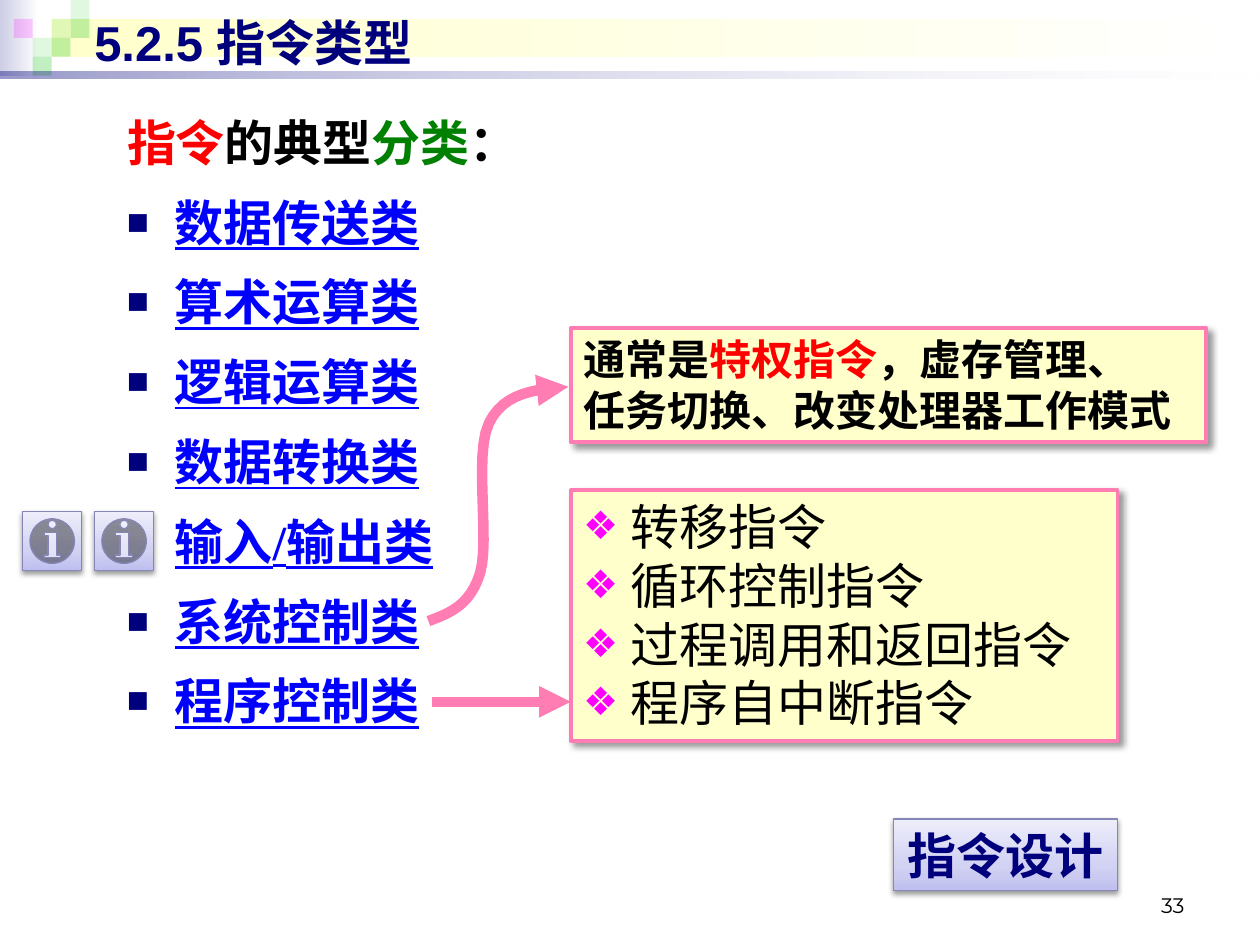
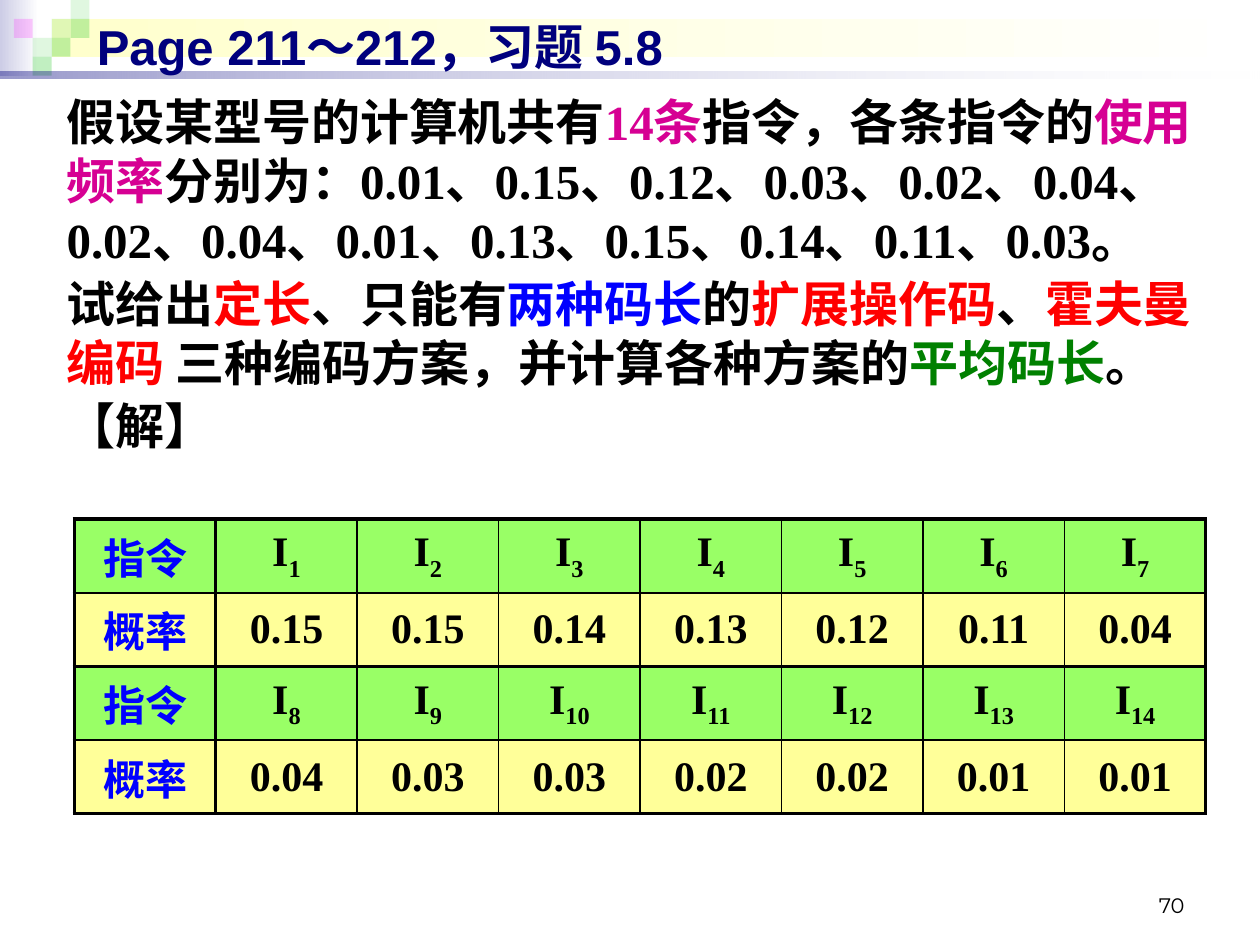
from lxml.etree import SubElement
from pptx import Presentation
from pptx.dml.color import RGBColor
from pptx.enum.shapes import MSO_CONNECTOR, MSO_SHAPE
from pptx.enum.text import MSO_ANCHOR, PP_ALIGN
from pptx.oxml.ns import qn
from pptx.util import Inches, Pt

COLOURS = {
    "black": "000000", "white": "FFFFFF", "navy": "00007D", "blue": "0000FF",
    "red": "FF0000", "green": "008000", "purple": "D60093", "magenta": "FF00FF",
    "pink": "FF7DB2", "cream": "FFFFCC", "lavender": "CDCDE6", "leaf": "33CC33",
    "button low": "BFBFF0", "button middle": "D2D2F3", "button high": "EDEDFB",
    "button edge": "8686B6", "lime": "99FF66", "yellow": "FFFF99",
}
SERIF, SANS, CHINESE, NUMBER = "Times New Roman", "Arial", "Noto Sans CJK SC", "Montserrat"
COLUMNS, ROWS = 100, 75
CELL = Inches(0.1)

BUTTON_STOPS = [(0, "button low", 100), (35, "button middle", 100), (100, "button high", 100)]
BUTTON_SHADOW = (38, 3.1, 1.6, 90)
NOTE_SHADOW = (40, 4, 3, 45)
MOSAIC = [(2, 1, "leaf", 15), (3, 0, "leaf", 15), (3, 1, "leaf", 30), (1, 2, "leaf", 15),
          (0, 1, "magenta", 20), (2, 2, "leaf", 30), (1, 3, "leaf", 30)]


def grid(*lengths):
    """Turn grid cells into slide lengths."""
    return [round(length * CELL) for length in lengths]


def colour(name):
    return RGBColor.from_string(COLOURS[name])


def add_xml(parent, tag, **attributes):
    return SubElement(parent, qn(tag), {key: str(value) for key, value in attributes.items()})


def add_colour_xml(parent, name, alpha=100):
    element = add_xml(parent, "a:srgbClr", val=COLOURS[name])
    if alpha < 100:
        add_xml(element, "a:alpha", val=alpha * 1000)


def add_runs(paragraph, runs, size=28, font=SERIF, bold=True, underline=None):
    """Add (text, colour) runs; a newline in a text becomes a line break."""
    for text, name in runs:
        for index, line in enumerate(text.split("\n")):
            if index:
                paragraph.add_line_break()
            run = paragraph.add_run()
            run.text = line
            run.font.size, run.font.bold, run.font.underline = Pt(size), bold, underline
            run.font.color.rgb = colour(name)
            run.font.name = font
            add_xml(run.font._element, "a:ea", typeface=CHINESE)


def add_bullet(paragraph, character, name, percent):
    properties = paragraph._p.get_or_add_pPr()
    indent = Inches(0.38)
    properties.set("marL", str(indent))
    properties.set("indent", str(-indent))
    add_colour_xml(add_xml(properties, "a:buClr"), name)
    add_xml(properties, "a:buSzPct", val=percent * 1000)
    add_xml(properties, "a:buFont", typeface=SANS)
    add_xml(properties, "a:buChar", char=character)


def fill_paragraphs(frame, paragraphs, space=0, bullet=None, align=None, **style):
    for index, runs in enumerate(paragraphs):
        paragraph = frame.add_paragraph() if index else frame.paragraphs[0]
        if bullet:
            add_bullet(paragraph, *bullet)
        if index and space:
            paragraph.space_before = Pt(space)
        paragraph.alignment = align
        add_runs(paragraph, runs, **style)


def add_text(slide, box, paragraphs, anchor=MSO_ANCHOR.TOP, **style):
    frame = slide.shapes.add_textbox(*grid(*box)).text_frame
    frame.word_wrap = True
    frame.vertical_anchor = anchor
    fill_paragraphs(frame, paragraphs, **style)


def add_block(slide, box, preset=MSO_SHAPE.RECTANGLE, fill=None, alpha=100, stops=None,
              angle=0, edge=None, shadow=None):
    """Add a preset shape with a plain or gradient fill, an edge and a shadow."""
    shape = slide.shapes.add_shape(preset, *grid(*box))
    properties = shape._element.spPr
    if stops:
        shape.fill.gradient()
        shape.fill.gradient_angle = angle
        stop_list = properties.find(qn("a:gradFill")).find(qn("a:gsLst"))
        stop_list.clear()
        for position, name, opacity in stops:
            add_colour_xml(add_xml(stop_list, "a:gs", pos=position * 1000), name, opacity)
    else:
        shape.fill.solid()
        shape.fill.fore_color.rgb = colour(fill)
        if alpha < 100:
            add_xml(properties.find(qn("a:solidFill"))[0], "a:alpha", val=alpha * 1000)
    if edge:
        name, width = edge
        shape.line.color.rgb = colour(name)
        shape.line.width = Pt(width)
    else:
        shape.line.fill.background()
    shape.shadow.inherit = False
    if shadow:
        opacity, blur, distance, direction = shadow
        outer = add_xml(properties.find(qn("a:effectLst")), "a:outerShdw", blurRad=Pt(blur),
                        dist=Pt(distance), dir=direction * 60000, algn="tl", rotWithShape=0)
        add_colour_xml(outer, "black", opacity)
    return shape


def add_button(slide, box, preset):
    return add_block(slide, box, preset, stops=BUTTON_STOPS, angle=90,
                     edge=("button edge", 0.75), shadow=BUTTON_SHADOW)


def add_note(slide, box, paragraphs, **style):
    shape = add_block(slide, box, fill="cream", edge=("pink", 2.25), shadow=NOTE_SHADOW)
    frame = shape.text_frame
    frame.word_wrap = True
    frame.vertical_anchor = MSO_ANCHOR.TOP
    fill_paragraphs(frame, paragraphs, align=PP_ALIGN.LEFT, **style)


def style_arrow(shape):
    shape.line.color.rgb = colour("pink")
    shape.line.width = Pt(6)
    add_xml(shape._element.spPr.find(qn("a:ln")), "a:tailEnd", type="triangle")


def add_straight_arrow(slide, start, end):
    connector = slide.shapes.add_connector(MSO_CONNECTOR.STRAIGHT, *grid(*start, *end))
    style_arrow(connector)
    add_xml(connector._element.spPr, "a:effectLst")


def bezier_points(start, first, second, end, steps=12):
    for step in range(1, steps + 1):
        t = step / steps
        weights = ((1 - t) ** 3, 3 * t * (1 - t) ** 2, 3 * t * t * (1 - t), t ** 3)
        yield tuple(sum(weight * value for weight, value in zip(weights, axis))
                    for axis in zip(start, first, second, end))


def add_curved_arrow(slide, start, curves):
    points, here = [], start
    for curve in curves:
        points += [grid(*point) for point in bezier_points(here, *curve)]
        here = curve[-1]
    builder = slide.shapes.build_freeform(*grid(*start))
    builder.add_line_segments(points, close=False)
    shape = builder.convert_to_shape()
    shape.fill.background()
    shape.shadow.inherit = False
    style_arrow(shape)


def add_framed_slide(presentation, title_box, title, number):
    """Add a slide with the header bands, mosaic, title and page number."""
    slide = presentation.slides.add_slide(presentation.slide_layouts[6])
    add_block(slide, (0, 0, 3.1, 6), stops=[(0, "lavender", 100), (100, "white", 100)])
    add_block(slide, (4.1, 1.5, 95.5, 3), stops=[(0, "cream", 100), (100, "white", 100)])
    side = 1.5
    for column, row, name, alpha in MOSAIC:
        add_block(slide, (1.1 + column * side, row * side, side, side), fill=name, alpha=alpha)
    add_block(slide, (0, 5.7, COLUMNS, 0.5), stops=[(0, "navy", 40), (100, "white", 10)])
    add_text(slide, title_box, [[(title, "navy")]], MSO_ANCHOR.MIDDLE, font=SANS)
    add_text(slide, (71.7, 68.3, 23.3, 5), [[(number, "black")]], MSO_ANCHOR.BOTTOM,
             align=PP_ALIGN.RIGHT, size=12, font=NUMBER, bold=False)
    return slide


def set_borders(cell, **widths):
    properties = cell._tc.get_or_add_tcPr()
    for index, (side, width) in enumerate(widths.items()):
        line = add_xml(properties, f"a:{side}", w=Pt(width))
        add_colour_xml(add_xml(line, "a:solidFill"), "black")
        properties.insert(index, line)


def add_probability_table(slide, box, probabilities, per_row=7):
    """Alternate rows of instruction names and of their probabilities."""
    row_count = 2 * len(probabilities) // per_row
    table = slide.shapes.add_table(row_count, per_row + 1, *grid(*box)).table
    thin, thick = 1, 2.25
    for row in range(row_count):
        is_name = row % 2 == 0
        for column in range(per_row + 1):
            cell = table.cell(row, column)
            cell.fill.solid()
            cell.fill.fore_color.rgb = colour("lime" if is_name else "yellow")
            cell.vertical_anchor = MSO_ANCHOR.MIDDLE
            set_borders(cell, lnL=thick if column < 2 else thin,
                        lnR=thick if column in (0, per_row) else thin,
                        lnT=thick if is_name else thin, lnB=thin if is_name else thick)
            item = row // 2 * per_row + column
            if column == 0:
                runs = [("指令" if is_name else "概率", "blue")]
            elif is_name:
                runs = [("I", "black"), (str(item), "black")]
            else:
                runs = [(probabilities[item - 1], "black")]
            fill_paragraphs(cell.text_frame, [runs], align=PP_ALIGN.CENTER, size=24)
            if is_name and column:
                subscript = cell.text_frame.paragraphs[0].runs[1]
                subscript.font._element.set("baseline", "-25000")


def build_types_slide(presentation):
    slide = add_framed_slide(presentation, (6.5, 0.5, 92.3, 5.7), "5.2.5 指令类型", "33")
    heading = [("指令", "red"), ("的典型", "black"), ("分类", "green"), ("：", "black")]
    add_text(slide, (9.1, 8.4, 89.8, 5.6), [heading], font=SANS)
    types = ["数据传送类", "算术运算类", "逻辑运算类", "数据转换类", "输入/输出类",
             "系统控制类", "程序控制类"]
    add_text(slide, (9.1, 14.75, 40, 45), [[(name, "blue")] for name in types], space=12,
             bullet=("■", "navy", 75), underline=True)

    design = add_button(slide, (70.9, 65, 17.8, 5.7), MSO_SHAPE.ACTION_BUTTON_CUSTOM)
    design.text_frame.word_wrap = False
    design.text_frame.vertical_anchor = MSO_ANCHOR.MIDDLE
    fill_paragraphs(design.text_frame, [[("指令设计", "navy")]], align=PP_ALIGN.CENTER)

    add_note(slide, (45.3, 26, 50.4, 9.1),
             [[("通常是", "black"), ("特权指令", "red"),
               ("，虚存管理、\n任务切换、改变处理器工作模式", "black")]], size=24)
    controls = ["转移指令", "循环控制指令", "过程调用和返回指令", "程序自中断指令"]
    add_note(slide, (45.3, 38.9, 43.4, 19.9), [[(name, "black")] for name in controls],
             bullet=("❖", "magenta", 80), font=CHINESE, bold=False)

    add_straight_arrow(slide, (34.3, 55.7), (45.3, 55.7))
    add_curved_arrow(slide, (34, 49.3), [
        ((35.6, 48.7), (37.3, 48.1), (38.1, 45.5)),
        ((38.9, 42.9), (37.6, 36.1), (38.8, 33.6)),
        ((40, 31.1), (42.6, 30.9), (45.1, 30.7)),
    ])
    for left in (1.8, 7.5):
        add_button(slide, (left, 40.6, 4.7, 4.7), MSO_SHAPE.ACTION_BUTTON_INFORMATION)


def build_exercise_slide(presentation):
    slide = add_framed_slide(presentation, (6.7, 0.5, 91.4, 6.3), "Page 211～212，习题 5.8", "70")
    add_text(slide, (4.3, 6.8, 92.9, 33.9), [
        [("假设某型号的计算机共有", "black"), ("14条", "purple"), ("指令，各条指令的", "black"),
         ("使用频率", "purple"),
         ("分别为：0.01、0.15、0.12、0.03、0.02、0.04、0.02、0.04、0.01、0.13、0.15、0.14、"
          "0.11、0.03。", "black")],
        [("试给出", "black"), ("定长", "red"), ("、只能有", "black"), ("两种码长", "blue"),
         ("的", "black"), ("扩展操作码", "red"), ("、", "black"), ("霍夫曼编码", "red"),
         (" 三种编码方案，并计算各种方案的", "black"), ("平均码长", "green"), ("。", "black")],
        [("【解】", "black")],
    ], space=2.8)
    probabilities = ["0.15", "0.15", "0.14", "0.13", "0.12", "0.11", "0.04",
                     "0.04", "0.03", "0.03", "0.02", "0.02", "0.01", "0.01"]
    add_probability_table(slide, (5.9, 41.2, 89.8, 23.4), probabilities)


def main():
    presentation = Presentation()
    presentation.slide_width, presentation.slide_height = grid(COLUMNS, ROWS)
    build_types_slide(presentation)
    build_exercise_slide(presentation)
    presentation.save("out.pptx")


if __name__ == "__main__":
    main()
